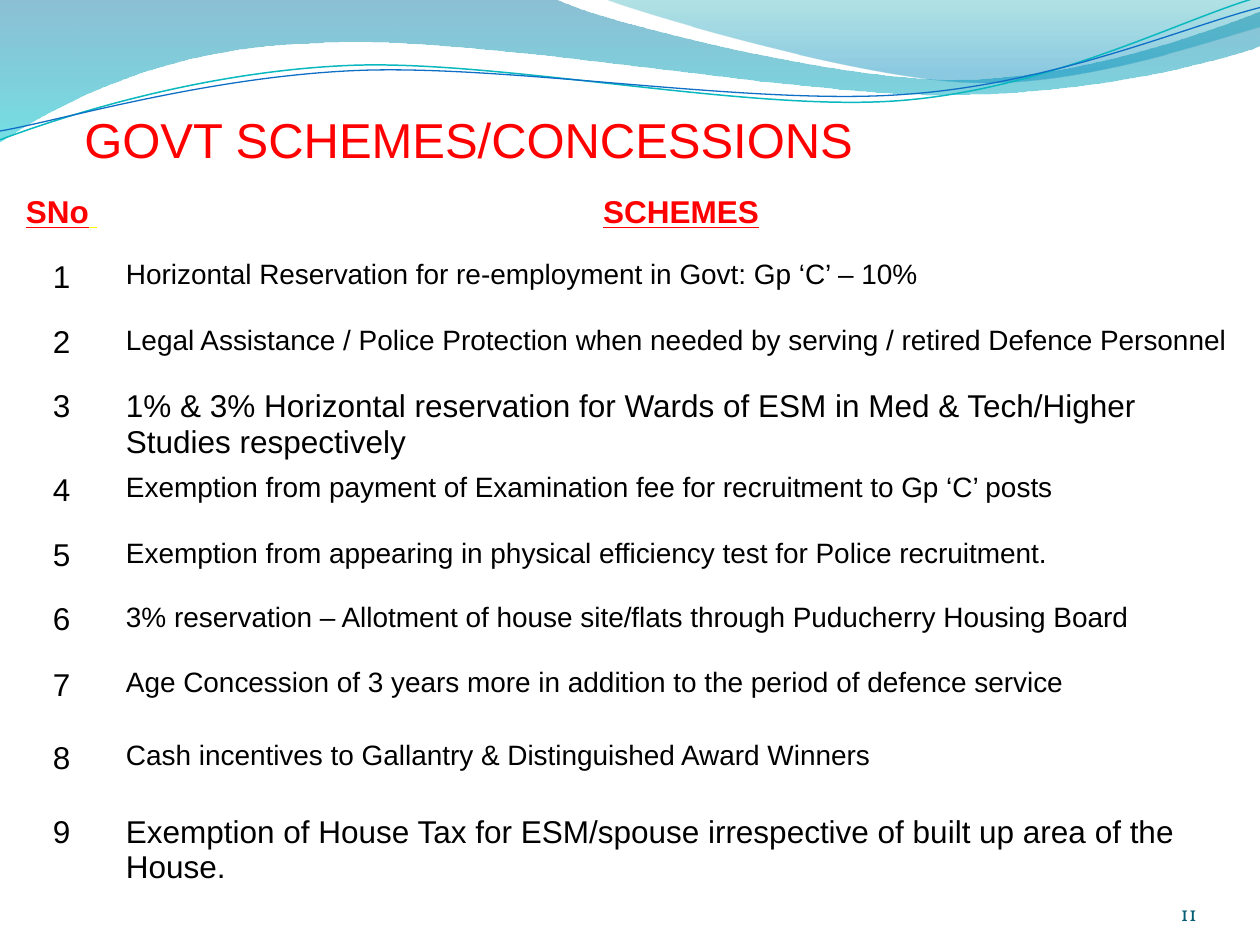
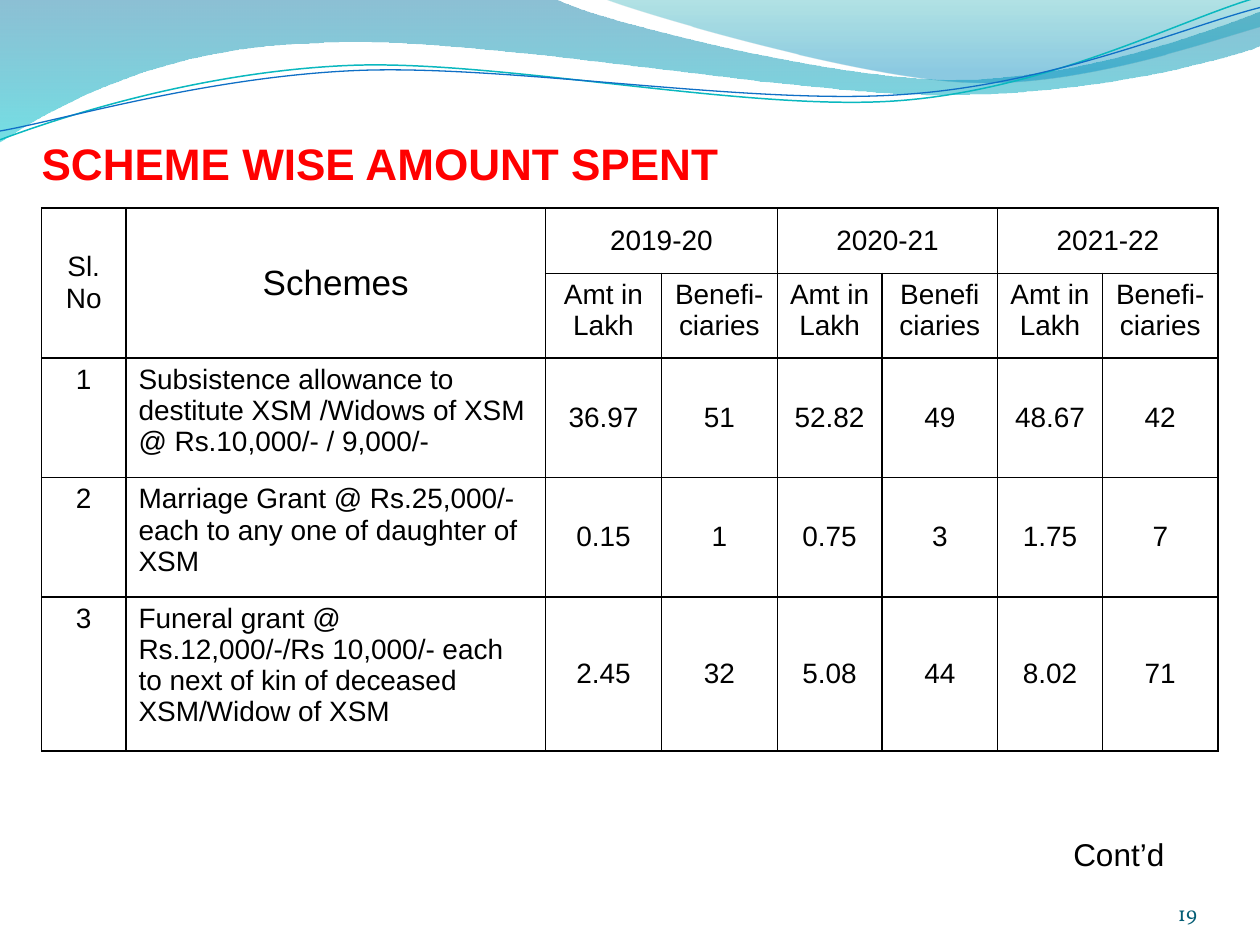
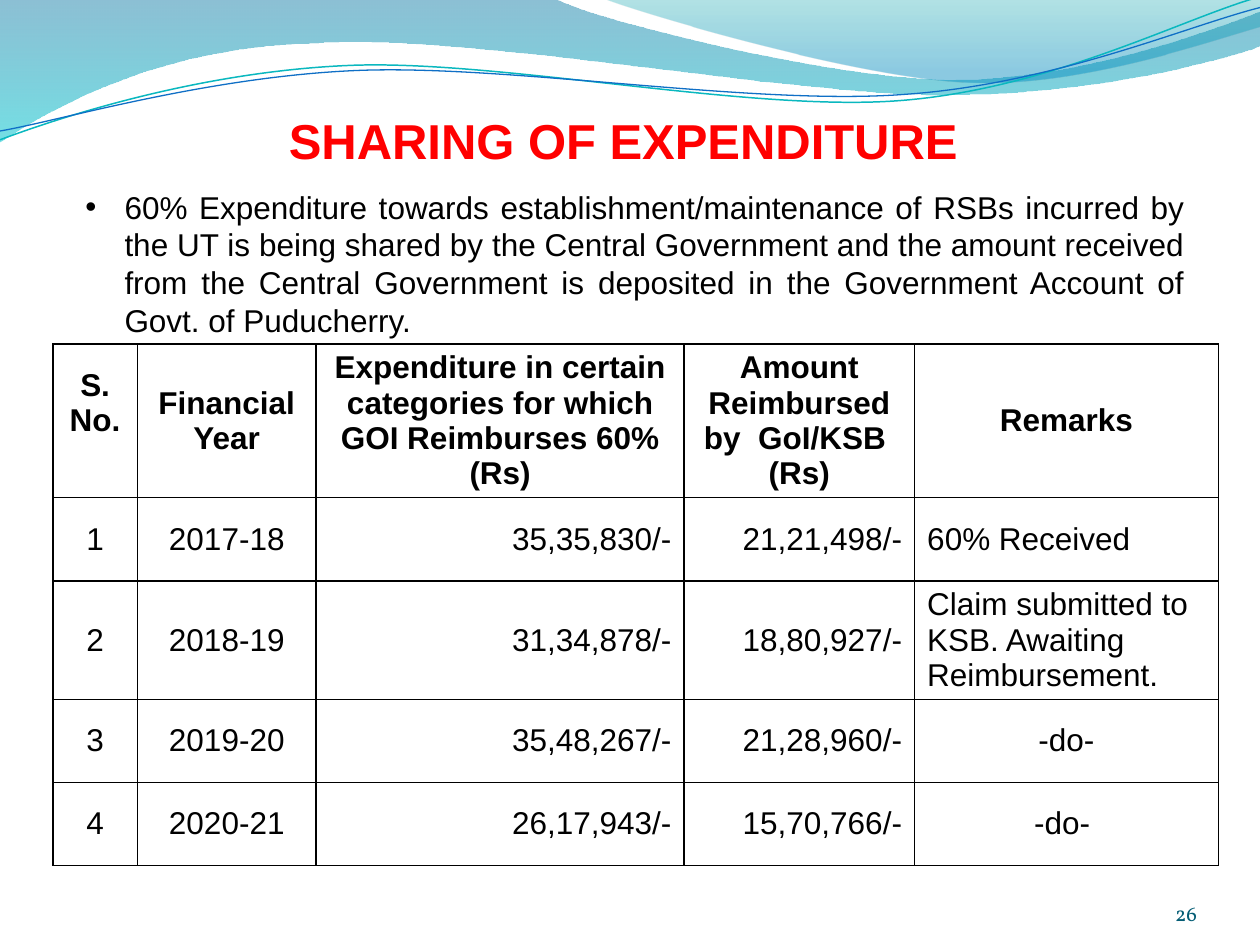
from lxml import etree
from pptx import Presentation
from pptx import util as u
from pptx.dml import color as dml
from pptx.enum import text as t
from pptx.oxml import ns

RED, YELLOW, BLACK, WHITE, NUMBER_BLUE = "FF0000", "FFFF00", "000000", "FFFFFF", "045D75"
ALIGN = {"l": t.PP_ALIGN.LEFT, "c": t.PP_ALIGN.CENTER,
         "r": t.PP_ALIGN.RIGHT, "j": t.PP_ALIGN.JUSTIFY}
ANCHOR = {"t": t.MSO_ANCHOR.TOP, "m": t.MSO_ANCHOR.MIDDLE, "b": t.MSO_ANCHOR.BOTTOM}
BOX_INSETS = (0.1, 0.05, 0.1, 0.05)
TITLE_INSETS = (0, 0.05, 0, 0)

WAVE_FILLS = [
    ([(0, 0), (4.4, -0.01), (4.76, 0.17, 6.64, 0.63, 7.58, 0.63),
      (8.53, 0.63, 9.58, 0.26, 10, 0.09), (10.01, 0.36),
      (9.83, 0.44, 8.7, 0.76, 7.46, 0.75), (6.22, 0.75, 3.82, 0.28, 2.57, 0.34),
      (1.29, 0.36, 0.46, 0.83, -0.01, 1.13), (0, 0)],
     [(0, "0074A1", 45), (1, "00C6CF", 55)]),
    ([(4.79, -0.01), (5.09, 0.11, 6.82, 0.62, 7.69, 0.65),
      (8.56, 0.69, 9.61, 0.32, 10, 0.21), (10, 0), (4.79, -0.01)],
     [(0, "00A1A9", 30), (0.8, "008BBF", 45)]),
]
WAVE_LINES = [
    ([(0, 1.11), (0.48, 0.93, 1.58, 0.57, 2.77, 0.52),
      (3.95, 0.47, 5.93, 0.89, 7.13, 0.8), (8.33, 0.71, 9.38, 0.15, 9.98, -0.02)],
     "0AB8BF", 0.85),
    ([(0, 1.04), (0.47, 0.96, 1.64, 0.61, 2.83, 0.56),
      (4.03, 0.51, 5.97, 0.84, 7.17, 0.75), (8.36, 0.67, 9.41, 0.21, 10, 0.06)],
     "0F6FC6", 0.75),
]

CONCESSION_HEIGHTS = [0.51, 0.52, 0.51, 0.51, 0.52, 0.51, 0.52, 0.58, 0.59, 0.58]
CONCESSIONS = [
    ("Horizontal Reservation for re-employment in Govt: Gp ‘C’ – 10%", 16),
    ("Legal Assistance / Police Protection when needed by serving / retired "
     "Defence Personnel", 16),
    ("1% & 3% Horizontal reservation for Wards of ESM in Med & Tech/Higher "
     "Studies respectively", 18),
    ("Exemption from payment of Examination fee for recruitment to Gp ‘C’ posts", 16),
    ("Exemption from appearing in physical efficiency test for Police recruitment.", 16),
    ("3% reservation – Allotment of house site/flats through Puducherry Housing Board", 16),
    ("Age Concession of 3 years more in addition to the period of defence service", 16),
    ("Cash incentives to Gallantry & Distinguished Award Winners", 16),
    ("Exemption of House Tax for ESM/spouse irrespective of built up area of the House.", 18),
]
YEARS = ["2019-20", "2020-21", "2021-22"]
MEASURES = ["Amt in Lakh", "Benefi-ciaries", "Amt in Lakh", "Beneficiaries",
            "Amt in Lakh", "Benefi-ciaries"]
SPENDING = [
    ("1", "Subsistence allowance to destitute XSM /Widows of XSM @ Rs.10,000/- / 9,000/-",
     "36.97", "51", "52.82", "49", "48.67", "42"),
    ("2", "Marriage Grant @ Rs.25,000/- each to any one of daughter of XSM",
     "0.15", "1", "0.75", "3", "1.75", "7"),
    ("3", "Funeral grant @ Rs.12,000/-/Rs 10,000/- each to next of kin of deceased "
     "XSM/Widow of XSM", "2.45", "32", "5.08", "44", "8.02", "71"),
]
SHARING_HEADER = [
    "S. No.", "Financial Year",
    "Expenditure in certain categories for which GOI Reimburses 60%\n(Rs)",
    "Amount Reimbursed\nby  GoI/KSB \n(Rs)", "Remarks"]
SHARING = [
    ("1", "2017-18", "35,35,830/-", "21,21,498/-", "60% Received"),
    ("2", "2018-19", "31,34,878/-", "18,80,927/-",
     "Claim submitted to KSB. Awaiting Reimbursement."),
    ("3", "2019-20", "35,48,267/-", "21,28,960/-", "-do-"),
    ("4", "2020-21", "26,17,943/-", "15,70,766/-", "-do- "),
]
SHARING_NOTE = (
    "60% Expenditure towards establishment/maintenance of RSBs incurred by the UT is "
    "being shared by the Central Government and the amount received from the Central "
    "Government is deposited in the Government Account of Govt. of Puducherry.")


def rgb(value):
    """Turn a hex string into a colour."""
    return dml.RGBColor.from_string(value)


def add_run(paragraph, words, size=18, font="Arial", color=BLACK, bold=False,
            underline=False):
    """Add a formatted run to a paragraph."""
    run = paragraph.add_run()
    run.text = words
    run.font.size = u.Pt(size)
    run.font.name = font
    run.font.color.rgb = rgb(color)
    run.font.bold = bold
    run.font.underline = underline


def write(frame, words, align="l", **style):
    """Write text into a frame, one paragraph for each line."""
    for index, line in enumerate(words.split("\n")):
        paragraph = frame.add_paragraph() if index else frame.paragraphs[0]
        paragraph.alignment = ALIGN[align]
        add_run(paragraph, line, **style)


def set_frame(frame, anchor, insets):
    """Set wrapping, anchor and insets of a text frame."""
    frame.word_wrap = True
    frame.auto_size = t.MSO_AUTO_SIZE.NONE
    frame.vertical_anchor = ANCHOR[anchor]
    (frame.margin_left, frame.margin_top,
     frame.margin_right, frame.margin_bottom) = map(u.Inches, insets)


def add_words(slide, box, words, anchor="t", insets=BOX_INSETS, **style):
    """Add a text box and return its frame."""
    frame = slide.shapes.add_textbox(*map(u.Inches, box)).text_frame
    set_frame(frame, anchor, insets)
    write(frame, words, **style)
    return frame


def add_bullet(paragraph, indent):
    """Give a paragraph a hanging round bullet."""
    properties = paragraph._p.get_or_add_pPr()
    properties.set("marL", str(u.Inches(indent)))
    properties.set("indent", str(-u.Inches(indent)))
    etree.SubElement(properties, ns.qn("a:buFont"), typeface="Arial")
    etree.SubElement(properties, ns.qn("a:buChar"), char="•")


def add_outline(slide, outline, close):
    """Add a freeform of straight and cubic segments."""
    points = [(u.Inches(x), u.Inches(y)) for segment in outline
              for x, y in zip(segment[::2], segment[1::2])]
    builder = slide.shapes.build_freeform(*points[0])
    builder.add_line_segments(points[1:], close=close)
    wave = builder.convert_to_shape()
    wave.shadow.inherit = False
    steps = iter(list(wave.element.spPr.iter(ns.qn("a:lnTo"))))
    for segment in outline[1:]:
        step = next(steps)
        if len(segment) == 6:
            step.tag = ns.qn("a:cubicBezTo")
            for _ in range(2):
                following = next(steps)
                step.append(following[0])
                following.getparent().remove(following)
    return wave


def draw_waves(slide):
    """Draw the wave band and return its parts."""
    waves = []
    for outline, stops in WAVE_FILLS:
        wave = add_outline(slide, outline, True)
        wave.line.fill.background()
        wave.fill.gradient()
        wave.fill.gradient_angle = 270
        for stop, (position, color, _) in zip(wave.fill.gradient_stops, stops):
            stop.position = position
            stop.color.rgb = rgb(color)
        tints = list(wave.element.spPr.iter(ns.qn("a:srgbClr")))
        for tint, (_, _, opacity) in zip(tints, stops):
            etree.SubElement(tint, ns.qn("a:alpha"), val=str(opacity * 1000))
        waves.append(wave)
    for outline, color, width in WAVE_LINES:
        wave = add_outline(slide, outline, False)
        wave.fill.background()
        wave.line.color.rgb = rgb(color)
        wave.line.width = u.Pt(width)
        waves.append(wave)
    return waves


def share_waves(deck, slide):
    """Put the wave band on the master, behind everything."""
    tree = deck.slide_master.shapes.element
    for index, wave in enumerate(draw_waves(slide)):
        wave.element.nvSpPr.cNvPr.set("id", str(20 + index))
        tree.insert(2 + index, wave.element)


def add_slide(deck, title, box, number, anchor="b", insets=TITLE_INSETS, **style):
    """Add a slide with title and page number."""
    slide = deck.slides.add_slide(deck.slide_layouts[5])
    heading = slide.shapes.title
    heading.left, heading.top, heading.width, heading.height = map(u.Inches, box)
    set_frame(heading.text_frame, anchor, insets)
    write(heading.text_frame, title, color=RED, **style)
    add_words(slide, (8.67, 6.95, 0.83, 0.4), number, "b", (0, 0, 0, 0),
              size=12, font="Vollkorn", color=NUMBER_BLUE, align="r")
    return slide


def set_borders(cell, color):
    """Draw a one-point border on every side of a cell."""
    properties = cell._tc.get_or_add_tcPr()
    for index, side in enumerate(("lnL", "lnR", "lnT", "lnB")):
        border = etree.Element(ns.qn("a:" + side), w=str(u.Pt(1)))
        fill = etree.SubElement(border, ns.qn("a:solidFill"))
        etree.SubElement(fill, ns.qn("a:srgbClr"), val=color)
        properties.insert(index, border)


def add_grid(slide, left, top, widths, heights, border):
    """Add an empty, unfilled table with borders."""
    grid = slide.shapes.add_table(
        len(heights), len(widths), u.Inches(left), u.Inches(top),
        u.Inches(sum(widths)), u.Inches(sum(heights))).table
    grid.first_row = grid.horz_banding = False
    for column, width in zip(grid.columns, widths):
        column.width = u.Inches(width)
    for row, height in zip(grid.rows, heights):
        row.height = u.Inches(height)
    for cell in grid.iter_cells():
        cell.fill.background()
        set_borders(cell, border)
    return grid


def fill_cell(cell, words, anchor="t", **style):
    """Write a table cell."""
    cell.vertical_anchor = ANCHOR[anchor]
    write(cell.text_frame, words, **style)


def add_concessions(deck):
    """Build the list of schemes and concessions."""
    slide = add_slide(deck, "GOVT SCHEMES/CONCESSIONS", (0.67, 0.42, 9, 0.92), "11", size=28)
    share_waves(deck, slide)
    grid = add_grid(slide, 0.08, 1.5, [0.82, 9.01], CONCESSION_HEIGHTS, WHITE)
    for column, label in enumerate(("SNo", "SCHEMES")):
        fill_cell(grid.cell(0, column), label, color=RED, bold=True,
                  underline=True, align="c")
    add_run(grid.cell(0, 0).text_frame.paragraphs[0], " ", color=YELLOW, bold=True,
            underline=True)
    for row, (scheme, size) in enumerate(CONCESSIONS, 1):
        fill_cell(grid.cell(row, 0), str(row), align="c")
        fill_cell(grid.cell(row, 1), scheme, size=size)


def add_spending(deck):
    """Build the table of amounts spent on each scheme."""
    slide = add_slide(deck, "SCHEME WISE AMOUNT SPENT", (0.33, 0.83, 9.5, 0.67), "19",
                      size=25.2, bold=True)
    grid = add_grid(slide, 0.33, 1.65, [0.67, 3.33, 0.92, 0.92, 0.83, 0.92, 0.83, 0.92],
                    [0.52, 0.67, 0.95, 0.95, 1.22], BLACK)
    for column, (label, size) in enumerate((("Sl. No", 16), ("Schemes", 20))):
        grid.cell(0, column).merge(grid.cell(1, column))
        fill_cell(grid.cell(0, column), label, "m", size=size, align="c")
    for column, year in zip(range(2, 8, 2), YEARS):
        grid.cell(0, column).merge(grid.cell(0, column + 1))
        fill_cell(grid.cell(0, column), year, "m", size=16, align="c")
    for column, measure in enumerate(MEASURES, 2):
        fill_cell(grid.cell(1, column), measure, size=16, align="c")
    for row, entries in enumerate(SPENDING, 2):
        for column, entry in enumerate(entries):
            fill_cell(grid.cell(row, column), entry, "t" if column < 2 else "m",
                      size=16, align="l" if column == 1 else "c")
    add_words(slide, (8.42, 6.58, 1.17, 0.71), "Cont’d")


def add_sharing(deck):
    """Build the table of shared expenditure."""
    slide = add_slide(deck, "SHARING OF EXPENDITURE ", (0, 0.83, 10, 0.57), "26", "t",
                      BOX_INSETS, size=28, bold=True, align="c")
    grid = add_grid(slide, 0.42, 2.73, [0.67, 1.42, 2.92, 1.83, 2.41], [0.66] * 5, BLACK)
    for column, label in enumerate(SHARING_HEADER):
        fill_cell(grid.cell(0, column), label, "m", bold=True, align="c")
    grid.cell(0, 0).margin_bottom = u.Inches(0.33)
    for row, entries in enumerate(SHARING, 1):
        aligns = "ccrr" + ("c" if entries[-1].startswith("-do-") else "l")
        for column, (entry, align) in enumerate(zip(entries, aligns)):
            fill_cell(grid.cell(row, column), entry, "m", align=align)
    note = add_words(slide, (0.58, 1.44, 8.92, 1.31), SHARING_NOTE, align="j")
    add_bullet(note.paragraphs[0], 0.31)


def main():
    """Build and save the deck."""
    deck = Presentation()
    deck.slide_width, deck.slide_height = u.Inches(10), u.Inches(7.5)
    add_concessions(deck)
    add_spending(deck)
    add_sharing(deck)
    deck.save("out.pptx")


if __name__ == "__main__":
    main()
